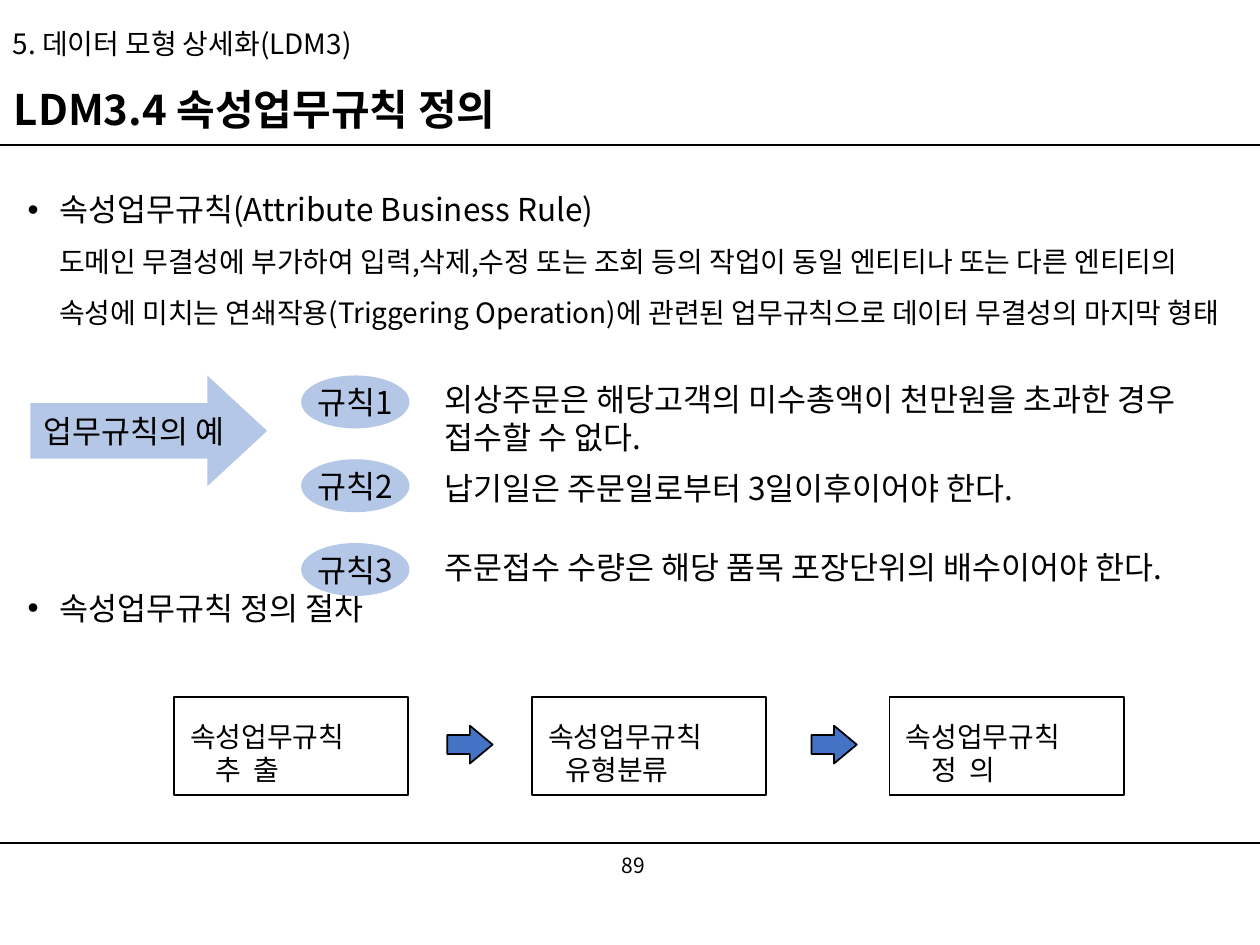
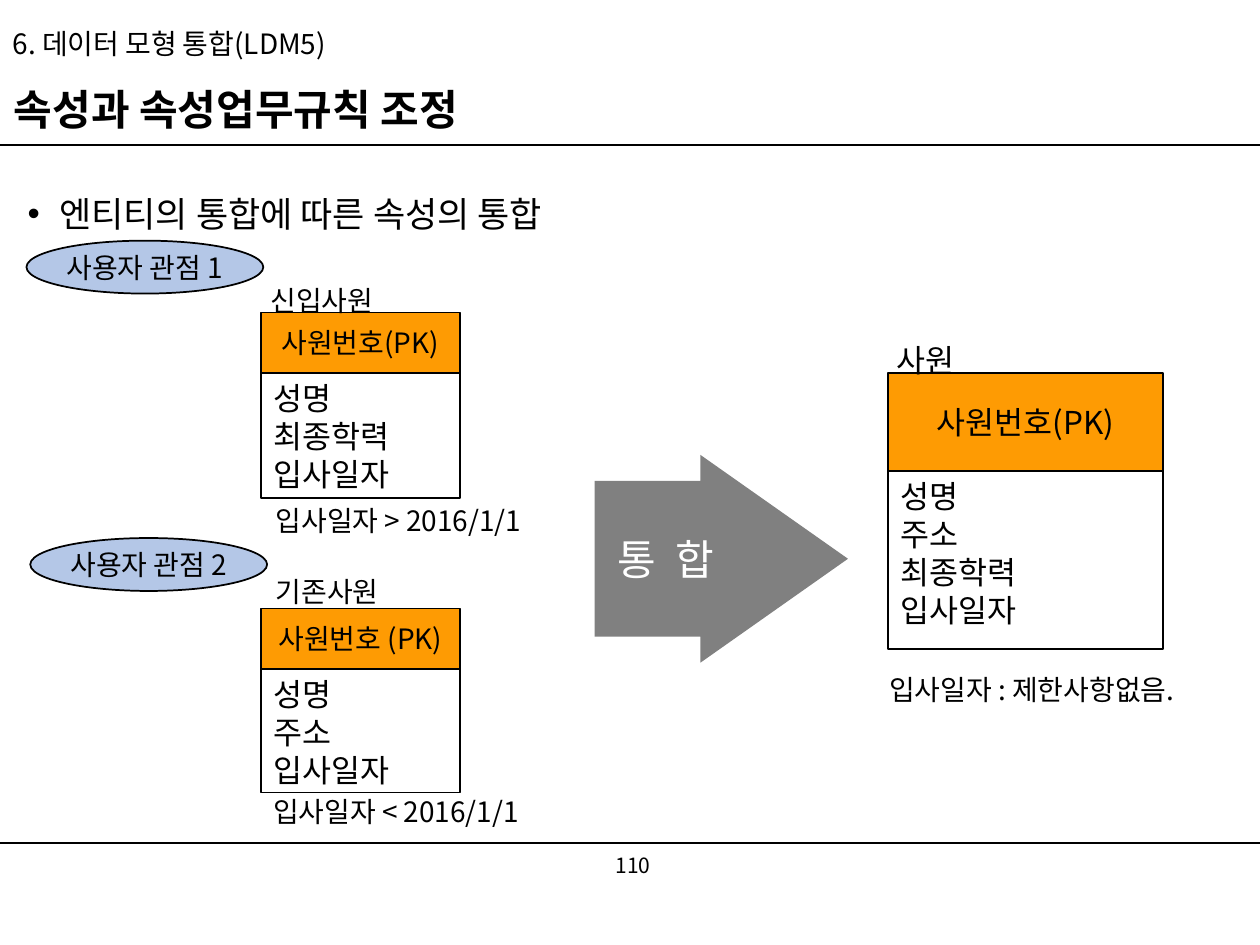
from copy import deepcopy
from dataclasses import dataclass

from lxml.etree import SubElement
from pptx import Presentation
from pptx.dml.color import RGBColor
from pptx.enum.shapes import MSO_CONNECTOR, MSO_SHAPE
from pptx.enum.text import MSO_ANCHOR, MSO_AUTO_SIZE, PP_ALIGN
from pptx.oxml.ns import qn
from pptx.util import Inches, Pt


@dataclass(frozen=True)
class Theme:
    """Hold the colours, type sizes and grid of the deck."""
    font: str = "Noto Sans CJK KR"
    ink: str = "000000"
    paper: str = "FFFFFF"
    tint: str = "B4C7E7"
    accent: str = "4472C4"
    key: str = "FE9B03"
    grey: str = "808080"
    page: int = 12
    small: int = 16
    text: int = 18
    lead: int = 20
    heading: int = 24
    width: int = Inches(10)
    height: int = Inches(7.5)
    columns: int = 100
    rows: int = 75


THEME = Theme()
FULL_LINE = 100.3
RULE_ROWS = (11.5, 66.9)
HEADER_FORMAT = {"line_spacing": 0.9, "space_before": Pt(0), "alignment": PP_ALIGN.LEFT}
CENTRED = {"alignment": PP_ALIGN.CENTER}


def across(columns):
    """Convert grid columns to a length."""
    return round(THEME.width * columns / THEME.columns)


def down(rows):
    """Convert grid rows to a length."""
    return round(THEME.height * rows / THEME.rows)


def area(left, top, width, height):
    """Convert a grid area to lengths."""
    return across(left), down(top), across(width), down(height)


def assign(target, values):
    """Set each attribute named in a dict."""
    for name, value in values.items():
        setattr(target, name, value)


def add_run(paragraph, text, size, color=THEME.ink, bold=False, spread=False):
    """Add a run in the deck's font, with letters set apart if asked."""
    run = paragraph.add_run()
    run.text = text
    assign(run.font, {"name": THEME.font, "size": Pt(size), "bold": bold})
    run.font.color.rgb = RGBColor.from_string(color)
    properties = run.font._element
    SubElement(properties, qn("a:ea"), typeface=THEME.font)
    if spread:
        properties.set("spc", str(size * 12))
    return run


def next_paragraph(frame, index):
    """Return the first paragraph of a frame or a new one."""
    return frame.add_paragraph() if index else frame.paragraphs[0]


def write(frame, lines, size, layout=None, anchor=MSO_ANCHOR.TOP, wrap=True, **style):
    """Write one paragraph for each line."""
    assign(frame, {"word_wrap": wrap, "vertical_anchor": anchor,
                   "auto_size": MSO_AUTO_SIZE.NONE})
    for index, line in enumerate(lines):
        paragraph = next_paragraph(frame, index)
        assign(paragraph, layout or {"alignment": PP_ALIGN.LEFT})
        add_run(paragraph, line, size, **style)


def add_label(slide, place, text, size, layout=None, anchor=MSO_ANCHOR.TOP):
    """Add a free line of text."""
    label = slide.shapes.add_textbox(*area(*place))
    write(label.text_frame, [text], size, layout, anchor)


def add_figure(slide, kind, place, fill, outlined=False, adjustments=()):
    """Add a flat preset shape."""
    figure = slide.shapes.add_shape(kind, *area(*place))
    figure.shadow.inherit = False
    figure.fill.solid()
    figure.fill.fore_color.rgb = RGBColor.from_string(fill)
    if outlined:
        figure.line.color.rgb = RGBColor.from_string(THEME.ink)
        figure.line.width = Pt(1)
    else:
        figure.line.fill.background()
    for index, value in enumerate(adjustments):
        figure.adjustments[index] = value
    return figure


def add_caption(figure, text, size, **style):
    """Centre one unwrapped line in a figure."""
    write(figure.text_frame, [text], size, CENTRED, MSO_ANCHOR.MIDDLE, False, **style)


def add_rule(slide, row):
    """Draw a thin line across the slide."""
    rule = slide.shapes.add_connector(
        MSO_CONNECTOR.STRAIGHT, 0, down(row), across(FULL_LINE), down(row))
    rule.line.color.rgb = RGBColor.from_string(THEME.ink)
    rule.line.width = Pt(0.75)
    SubElement(rule._element.spPr, qn("a:effectLst"))


def move(placeholder, place):
    """Move a placeholder to a grid area."""
    assign(placeholder, dict(zip(("left", "top", "width", "height"), area(*place))))
    return placeholder.text_frame


def set_bullet(paragraph, bullet):
    """Give a paragraph a hanging bullet, or none."""
    properties = paragraph._p.get_or_add_pPr()
    indent = Inches(0.25) if bullet else 0
    properties.set("marL", str(indent))
    properties.set("indent", str(-indent))
    if bullet:
        SubElement(properties, qn("a:buFont"), typeface="Arial")
        SubElement(properties, qn("a:buChar"), char=bullet)
    else:
        SubElement(properties, qn("a:buNone"))


def add_topics(frame, topics, size):
    """Write bulleted topics of heading, detail and space before."""
    assign(frame, {"word_wrap": True, "auto_size": MSO_AUTO_SIZE.NONE,
                   "vertical_anchor": MSO_ANCHOR.TOP})
    for index, (heading, detail, gap) in enumerate(topics):
        paragraph = next_paragraph(frame, index)
        assign(paragraph, {"line_spacing": 1.5, "space_before": Pt(gap)})
        set_bullet(paragraph, "•")
        run = add_run(paragraph, heading, size)
        if detail:
            paragraph.add_line_break()
            line_break = paragraph._p.find(qn("a:br"))
            line_break.append(deepcopy(run.font._element))
            add_run(paragraph, detail, THEME.small)


def start_slide(deck, chapter, heading, topics, topic_size, page):
    """Add a slide with chapter, heading, topics, rules and page number."""
    slide = deck.slides.add_slide(deck.slide_layouts[3])
    for row in RULE_ROWS:
        add_rule(slide, row)
    add_label(slide, (39, 66.7, 22.5, 4), page, THEME.page, CENTRED, MSO_ANCHOR.MIDDLE)
    chapter_frame = move(slide.shapes.title, (0, 1, FULL_LINE, 5.2))
    write(chapter_frame, [chapter], THEME.small, HEADER_FORMAT, MSO_ANCHOR.MIDDLE)
    heading_frame = move(slide.placeholders[1], (0.1, 6.3, 97.6, 5.2))
    write(heading_frame, [heading], THEME.heading, HEADER_FORMAT, MSO_ANCHOR.MIDDLE, bold=True)
    set_bullet(heading_frame.paragraphs[0], None)
    topic_frame = move(slide.placeholders[2], (1.2, 13.1, 97.6, 52))
    add_topics(topic_frame, topics, topic_size)
    return slide


def add_business_rule(slide, number, top, statement_top, statement):
    """Add a numbered oval and its rule."""
    oval = add_figure(slide, MSO_SHAPE.OVAL, (23.9, top, 8.6, 4.2), THEME.tint)
    add_caption(oval, f"규칙{number}", THEME.text)
    add_label(slide, (34.3, statement_top, 62.4, 7), statement, THEME.text)


def add_step(slide, left, action, indent, spread):
    """Add one boxed step of the procedure."""
    box = add_figure(slide, MSO_SHAPE.RECTANGLE, (left, 55.3, 18.6, 7.8), THEME.paper, True)
    frame = box.text_frame
    assign(frame, {"margin_left": across(1.3), "margin_top": down(1.6)})
    write(frame, ["속성업무규칙"], THEME.small, anchor=MSO_ANCHOR.MIDDLE)
    second = frame.add_paragraph()
    second.alignment = PP_ALIGN.LEFT
    second._p.get_or_add_pPr().set("marL", str(across(indent)))
    add_run(second, action, THEME.small, spread=spread)


def add_viewpoint(slide, left, top, text):
    """Add an outlined oval naming a user viewpoint."""
    oval = add_figure(slide, MSO_SHAPE.OVAL, (left, top, 18.8, 4.2), THEME.tint, True)
    add_caption(oval, text, THEME.small)


def add_entity(slide, place, key_height, key, fields, name, name_place, note, note_place, size):
    """Add an entity box with its key, fields, name and constraint."""
    left, top, width, height = place
    key_box = add_figure(slide, MSO_SHAPE.RECTANGLE, (left, top, width, key_height),
                         THEME.key, True)
    add_caption(key_box, key, size)
    field_box = add_figure(slide, MSO_SHAPE.RECTANGLE,
                           (left, top + key_height, width, height - key_height),
                           THEME.paper, True)
    write(field_box.text_frame, fields, THEME.text)
    add_label(slide, (*name_place, 11, 3.7), name, size)
    add_label(slide, (*note_place, 27, 3.7), note, THEME.small)


def build_rule_definition(deck):
    """Build the slide on defining attribute business rules."""
    definition = ("도메인 무결성에 부가하여 입력,삭제,수정 또는 조회 등의 작업이 동일 엔티티나 "
                  "또는 다른 엔티티의 속성에 미치는 연쇄작용(Triggering Operation)에 관련된 "
                  "업무규칙으로 데이터 무결성의 마지막 형태")
    topics = [("속성업무규칙(Attribute Business Rule)", definition, 0),
              ("속성업무규칙 정의 절차", None, 138)]
    slide = start_slide(deck, "5. 데이터 모형 상세화(LDM3)", "LDM3.4 속성업무규칙 정의",
                        topics, THEME.text, "89")
    example = add_figure(slide, MSO_SHAPE.RIGHT_ARROW, (2.4, 29.8, 18.8, 8.8), THEME.tint,
                         adjustments=(0.5, 0.54))
    add_caption(example, "업무규칙의 예", THEME.text)
    rules = [(29.7, "외상주문은 해당고객의 미수총액이 천만원을 초과한 경우 접수할 수 없다."),
             (36.7, "납기일은 주문일로부터 3일이후이어야 한다."),
             (43, "주문접수 수량은 해당 품목 포장단위의 배수이어야 한다.")]
    for index, (statement_top, statement) in enumerate(rules):
        add_business_rule(slide, index + 1, 29.8 + 6.65 * index, statement_top, statement)
    steps = [("추 출", 2, True), ("유형분류", 1.4, False), ("정 의", 2, True)]
    for index, step in enumerate(steps):
        add_step(slide, 13.8 + 28.4 * index, *step)
    for index in range(len(steps) - 1):
        add_figure(slide, MSO_SHAPE.RIGHT_ARROW, (35.5 + 28.9 * index, 57.6, 3.6, 3),
                   THEME.accent, True, (0.5, 0.6))


def build_attribute_merge(deck):
    """Build the slide on merging attributes of merged entities."""
    slide = start_slide(deck, "6. 데이터 모형 통합(LDM5)", "속성과 속성업무규칙 조정",
                        [("엔티티의 통합에 따른 속성의 통합", None, 0)], THEME.lead, "110")
    merge = add_figure(slide, MSO_SHAPE.RIGHT_ARROW, (47.2, 36.1, 20.1, 16.5), THEME.grey,
                       adjustments=(0.75, 0.71))
    add_caption(merge, "통 합", THEME.heading, color=THEME.paper, spread=True)
    add_viewpoint(slide, 2.1, 19.1, "사용자 관점 1")
    add_viewpoint(slide, 2.4, 42.7, "사용자 관점 2")
    add_entity(slide, (20.7, 24.8, 15.8, 14.7), 4.8, "사원번호(PK)",
               ["성명", "최종학력", "입사일자"], "신입사원", (20.5, 22),
               "입사일자 > 2016/1/1", (20.9, 39.5), THEME.small)
    add_entity(slide, (20.7, 48.3, 15.8, 14.6), 4.8, "사원번호 (PK)",
               ["성명", "주소", "입사일자"], "기존사원", (20.9, 45.1),
               "입사일자 < 2016/1/1", (20.7, 62.6), THEME.small)
    add_entity(slide, (70.5, 29.6, 21.8, 21.9), 7.8, "사원번호(PK)",
               ["성명", "주소", "최종학력", "입사일자"], "사원", (70.2, 26.6),
               "입사일자 : 제한사항없음.", (69.6, 52.9), THEME.text)


def main():
    """Build and save the deck."""
    deck = Presentation()
    assign(deck, {"slide_width": THEME.width, "slide_height": THEME.height})
    build_rule_definition(deck)
    build_attribute_merge(deck)
    deck.save("out.pptx")


if __name__ == "__main__":
    main()
